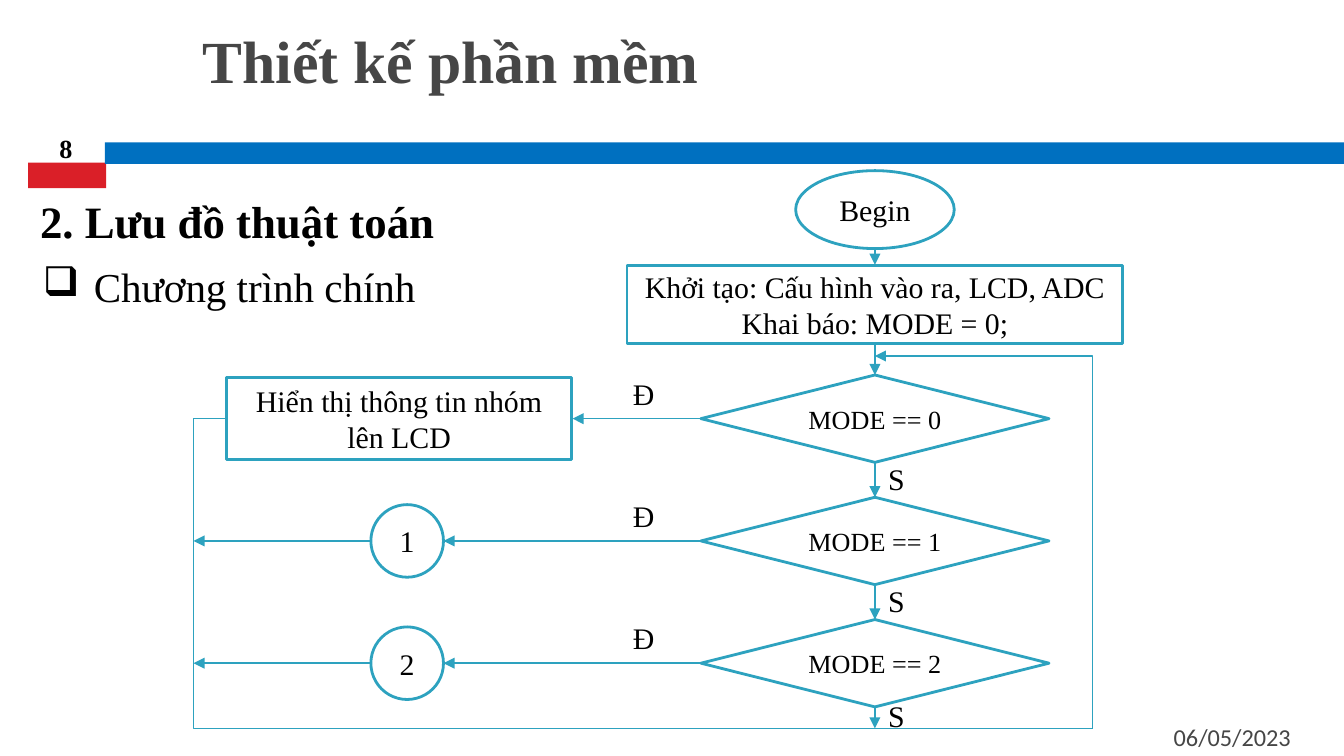
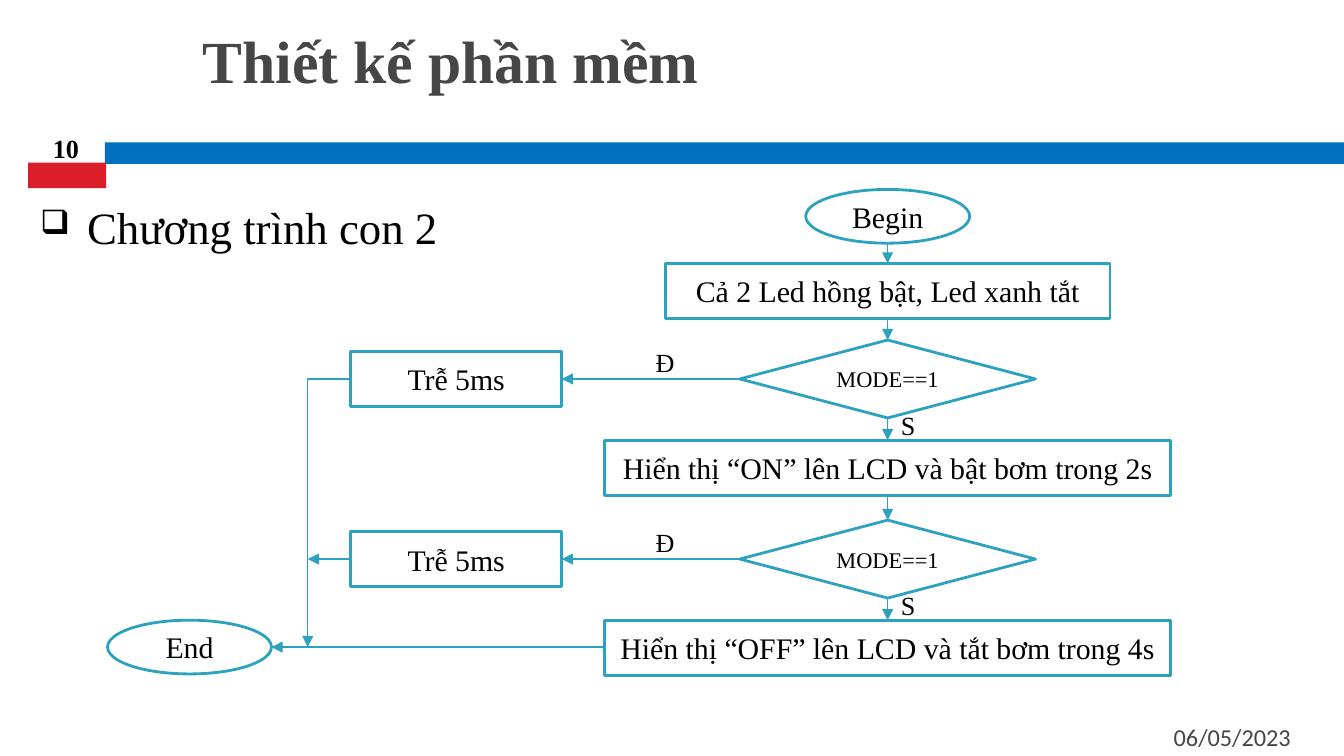
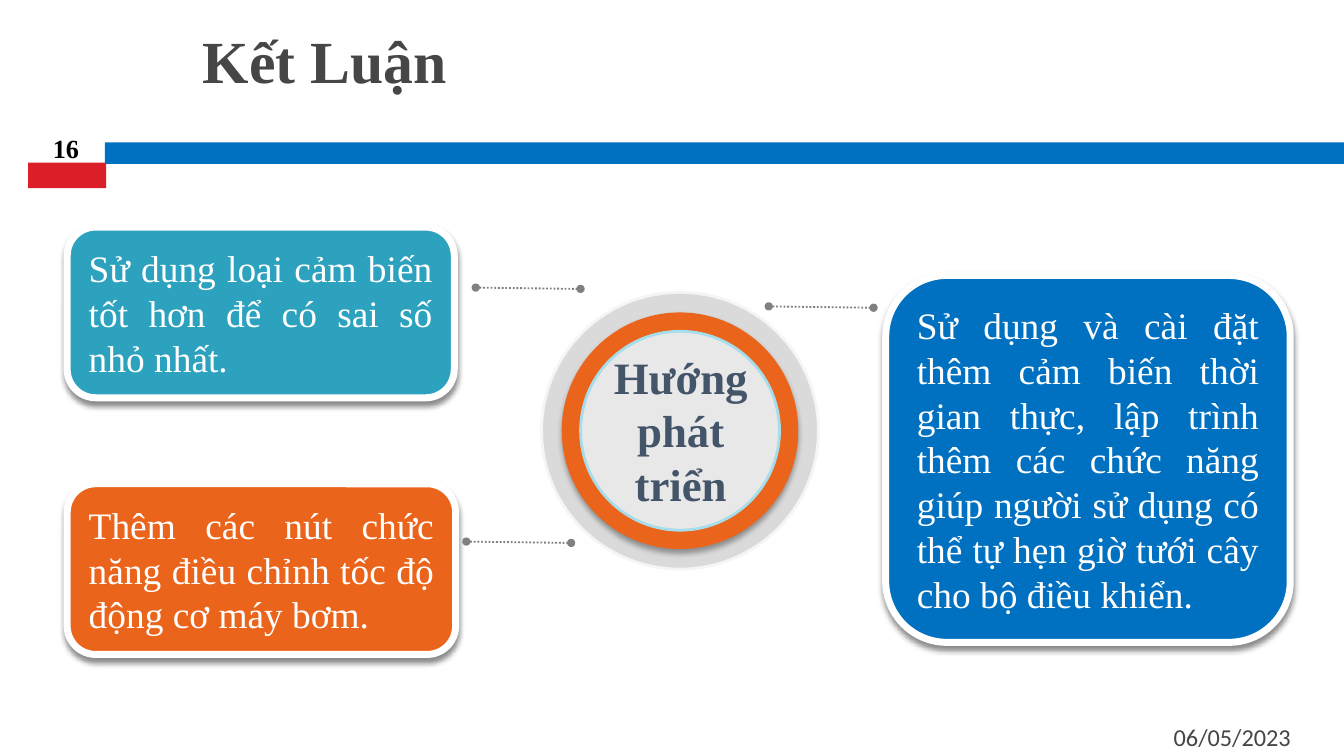
import pptx
import pptx.util
import pptx.dml.color
import pptx.enum.dml
import pptx.enum.shapes
import pptx.enum.text
import pptx.oxml.ns
import lxml.etree

RGBColor = pptx.dml.color.RGBColor
SHAPE = pptx.enum.shapes.MSO_SHAPE
LINE = pptx.enum.shapes.MSO_CONNECTOR
ALIGN = pptx.enum.text.PP_ALIGN
ANCHOR = pptx.enum.text.MSO_ANCHOR

BLACK = RGBColor(0x00, 0x00, 0x00)
WHITE = RGBColor(0xFF, 0xFF, 0xFF)
RED = RGBColor(0xDA, 0x1F, 0x28)
BLUE = RGBColor(0x00, 0x70, 0xC0)
TEAL = RGBColor(0x2D, 0xA2, 0xBF)
PALE_TEAL = RGBColor(0xA6, 0xDD, 0xEA)
ORANGE = RGBColor(0xEB, 0x64, 0x1B)
DARK = RGBColor(0x46, 0x46, 0x46)
SLATE = RGBColor(0x44, 0x54, 0x69)
GREY = RGBColor(0x80, 0x80, 0x80)
RING_GREY = RGBColor(0xDA, 0xDA, 0xDA)
RING_EDGE = RGBColor(0xF5, 0xF5, 0xF5)
CORE_GREY = RGBColor(0xE8, 0xE8, 0xE8)

SERIF = "Times New Roman"
SANS = "Calibri"

# A 16:9 slide on a grid of square cells, 100 columns across
WIDTH = pptx.util.Inches(10)
HEIGHT = WIDTH * 9 // 16
CELL = WIDTH / 100


def grid(*cells):
    return [round(c * CELL) for c in cells]


def sub(parent, tag, **attrs):
    e = lxml.etree.SubElement(parent, pptx.oxml.ns.qn(tag))
    for name, value in attrs.items():
        e.set(name, str(value))
    return e


# Text
def write(sp, text, size, color=BLACK, bold=False, align=ALIGN.LEFT,
          anchor=ANCHOR.TOP, font=SERIF, wrap=True):
    tf = sp.text_frame
    tf.text = text
    tf.word_wrap = wrap
    tf.vertical_anchor = anchor
    for p in tf.paragraphs:
        p.alignment = align
        for r in p.runs:
            r.font.name = font
            r.font.size = pptx.util.Pt(size)
            r.font.bold = bold
            r.font.color.rgb = color


def text_box(s, box, text, size, **style):
    sp = s.shapes.add_textbox(*grid(*box))
    write(sp, text, size, **style)
    return sp


def bullet_box(s, box, text, size, indent, percent=100, spacing=None, **style):
    sp = text_box(s, box, text, size, **style)
    p = sp.text_frame.paragraphs[0]
    pPr = p._p.get_or_add_pPr()
    width = grid(indent)[0]
    pPr.set("marL", str(width))
    pPr.set("indent", str(-width))
    sub(pPr, "a:buSzPct", val=percent * 1000)
    sub(pPr, "a:buChar", char="❑")
    if spacing:
        p.line_spacing = spacing


# Shapes
def shape(s, kind, box, fill, line=None, weight=1.5):
    sp = s.shapes.add_shape(kind, *grid(*box))
    sp.shadow.inherit = False
    sp.fill.solid()
    sp.fill.fore_color.rgb = fill
    if line is None:
        sp.line.fill.background()
    else:
        sp.line.color.rgb = line
        sp.line.width = pptx.util.Pt(weight)
    return sp


def centred(s, kind, cx, cy, w, h, fill, line=None):
    return shape(s, kind, (cx - w / 2, cy - h / 2, w, h), fill, line)


def drop_shadow(sp, alpha, dist):
    effects = sp._element.spPr.find(pptx.oxml.ns.qn("a:effectLst"))
    shadow = sub(effects, "a:outerShdw", blurRad=pptx.util.Pt(3),
                 dist=pptx.util.Pt(dist), dir=90 * 60000, rotWithShape=0)
    color = sub(shadow, "a:srgbClr", val=BLACK)
    sub(color, "a:alpha", val=alpha * 1000)


def connect(s, start, end, kind=LINE.STRAIGHT, color=TEAL, weight=0.79, arrow=True):
    c = s.shapes.add_connector(kind, *grid(*start, *end))
    c.line.color.rgb = color
    c.line.width = pptx.util.Pt(weight)
    if arrow:
        sub(c.line._get_or_add_ln(), "a:tailEnd", type="triangle")
    sub(c._element.spPr, "a:effectLst")
    return c


def elbow(s, start, end, bend=None, arrow=True):
    """Go sideways, then up or down; with a bend, go sideways again."""
    c = connect(s, start, end, LINE.ELBOW, arrow=arrow)
    geom = c._element.spPr.find(pptx.oxml.ns.qn("a:prstGeom"))
    if bend is None:
        geom.set("prst", "bentConnector2")
    else:
        guides = geom.find(pptx.oxml.ns.qn("a:avLst"))
        if guides is None:
            guides = sub(geom, "a:avLst")
        sub(guides, "a:gd", name="adj1", fmla=f"val {round(bend * 100000)}")


# Flowchart parts
def node(s, kind, cx, cy, w, h, text, size=16):
    sp = centred(s, kind, cx, cy, w, h, WHITE, TEAL)
    write(sp, text, size, align=ALIGN.CENTER, anchor=ANCHOR.MIDDLE)


def label(s, x, y, text, size=16):
    text_box(s, (x, y, 3.5, 3.6), text, size, wrap=False)


# Parts shared by all slides
def new_slide(prs, title, number):
    s = prs.slides.add_slide(prs.slide_layouts[6])
    shape(s, SHAPE.RECTANGLE, (2.1, 12.1, 5.8, 1.9), RED)
    shape(s, SHAPE.RECTANGLE, (7.8, 10.6, 92.2, 1.6), BLUE)
    text_box(s, (14.1, 1.3, 84.4, 8.9), title, 32, color=DARK, bold=True)
    text_box(s, (67.8, 53.3, 29.2, 3), "06/05/2023", 13, color=DARK,
             align=ALIGN.RIGHT, anchor=ANCHOR.MIDDLE, font=SANS)
    text_box(s, (2, 9.2, 5.8, 3.5), str(number), 14, bold=True,
             align=ALIGN.CENTER, anchor=ANCHOR.BOTTOM)
    return s


def main_program(prs):
    s = new_slide(prs, "Thiết kế phần mềm", 8)
    text_box(s, (2, 13.9, 86.7, 5), "2. Lưu đồ thuật toán", 24, bold=True)
    bullet_box(s, (2.2, 19, 30, 8.4), "Chương trình chính", 22, 3.8, wrap=False)

    spine, return_x, loop_x, bottom = 65.1, 14.4, 81.3, 54.2
    test_w, test_h, first, pitch = 25.9, 6.5, 31.15, 9.1

    # Start and setup
    node(s, SHAPE.OVAL, spine, 15.6, 11.8, 5.8, "Begin")
    node(s, SHAPE.RECTANGLE, spine, 22.65, 36.9, 5.8,
         "Khởi tạo: Cấu hình vào ra, LCD, ADC\nKhai báo: MODE = 0;")
    connect(s, (spine, 18.5), (spine, 19.7))
    connect(s, (spine, 25.5), (spine, first - test_h / 2))

    # Tests, each with its branch to the left
    for i in range(3):
        y = first + i * pitch
        foot = y + test_h / 2
        node(s, SHAPE.DIAMOND, spine, y, test_w, test_h, f"MODE == {i}", 14)
        label(s, 46.1, y - 3.7, "Đ")
        if i == 0:
            node(s, SHAPE.RECTANGLE, 29.7, y, 25.7, 6.1, "Hiển thị thông tin nhóm lên LCD")
            branch_end = 42.6
        else:
            node(s, SHAPE.OVAL, 30.3, y, 5.4, 5.4, str(i))
            connect(s, (27.6, y), (return_x, y))
            branch_end = 33
        connect(s, (spine - test_w / 2, y), (branch_end, y))
        connect(s, (spine, foot), (spine, min(foot + pitch - test_h, bottom)))
        label(s, spine, min(foot - 0.65, 51.4), "S")

    # Loop back to the first test
    left = 16.9
    elbow(s, (left, first), (loop_x, bottom), arrow=False,
          bend=(return_x - left) / (loop_x - left))
    elbow(s, (loop_x, bottom), (spine, 26.5), bend=0)


def second_routine(prs):
    s = new_slide(prs, "Thiết kế phần mềm", 10)
    bullet_box(s, (2, 14, 33.9, 6), "Chương trình con 2", 24, 3.5, percent=75,
               spacing=1.1, align=ALIGN.JUSTIFY)

    spine, return_x, end_y, box_h = 66.05, 22.9, 48.15, 4.1
    test_w, test_h, first, pitch = 22, 5.8, 28.2, 13.4

    # Start
    node(s, SHAPE.OVAL, spine, 16.1, 12.2, 4, "Begin")
    node(s, SHAPE.RECTANGLE, spine, 21.65, 33.1, box_h, "Cả 2 Led hồng bật, Led xanh tắt")
    connect(s, (spine, 18.1), (spine, 19.6))

    # Two rounds of test, delay and action
    actions = ("Hiển thị “ON” lên LCD và bật bơm trong 2s",
               "Hiển thị “OFF” lên LCD và tắt bơm trong 4s")
    above = 23.7
    for i, action in enumerate(actions):
        y = first + i * pitch
        foot, action_y = y + test_h / 2, y + 6.6
        node(s, SHAPE.DIAMOND, spine, y, test_w, test_h, "MODE==1", 12)
        node(s, SHAPE.RECTANGLE, 33.95, y, 15.7, box_h, "Trễ 5ms")
        node(s, SHAPE.RECTANGLE, spine, action_y, 42.1, box_h, action)
        connect(s, (spine, above), (spine, y - test_h / 2))
        connect(s, (spine, foot), (spine, action_y - box_h / 2))
        connect(s, (spine - test_w / 2, y), (41.8, y))
        label(s, 47.8, y - 2.9, "Đ", 14)
        label(s, spine, foot - 1.1, "S", 14)
        above = action_y + box_h / 2

    # Way to the end
    node(s, SHAPE.OVAL, 14.1, end_y, 12.2, 4, "End")
    connect(s, (45, end_y), (20.2, end_y))
    elbow(s, (26.1, first), (return_x, end_y))
    connect(s, (26.1, first + pitch), (return_x, first + pitch))


def card(s, box, fill, text):
    sp = shape(s, SHAPE.ROUNDED_RECTANGLE, box, fill, WHITE, 3.75)
    drop_shadow(sp, 45, 2.4)
    write(sp, text, 20, color=WHITE, align=ALIGN.JUSTIFY, anchor=ANCHOR.MIDDLE)


def dotted_link(s, x, y):
    ends = (x, y), (x + 7.8, y + 0.1)
    c = connect(s, *ends, color=GREY, weight=1, arrow=False)
    c.line.dash_style = pptx.enum.dml.MSO_LINE.ROUND_DOT
    for cx, cy in ends:
        centred(s, SHAPE.OVAL, cx, cy, 0.4, 0.4, GREY, GREY)


def conclusion(prs):
    s = new_slide(prs, "Kết Luận", 16)

    # Directions
    card(s, (5, 16.9, 28.8, 12.7), TEAL,
         "Sử dụng loại cảm biến tốt hơn để có sai số nhỏ nhất.")
    card(s, (5, 36, 28.9, 12.7), ORANGE,
         "Thêm các nút chức năng điều chỉnh tốc độ động cơ máy bơm.")
    card(s, (65.9, 20.5, 30.1, 27.3), BLUE,
         "Sử dụng và cài đặt thêm cảm biến thời gian thực, lập trình thêm các "
         "chức năng giúp người sử dụng có thể tự hẹn giờ tưới cây cho bộ điều khiển.")

    # Hub of three rings
    cx, cy = 50.6, 32.05
    centred(s, SHAPE.OVAL, cx, cy, 20.6, 20.6, RING_GREY, RING_EDGE)
    drop_shadow(centred(s, SHAPE.OVAL, cx, cy, 17.6, 17.6, ORANGE), 35, 2)
    centred(s, SHAPE.OVAL, cx, cy, 14.8, 14.8, CORE_GREY, PALE_TEAL)
    text_box(s, (44.1, 25.5, 13.1, 13.1), "Hướng phát triển", 24, color=SLATE,
             bold=True, align=ALIGN.CENTER)

    for x, y in ((35.4, 21.4), (34.7, 40.3), (57.2, 22.8)):
        dotted_link(s, x, y)


def main():
    prs = pptx.Presentation()
    prs.slide_width, prs.slide_height = WIDTH, HEIGHT
    main_program(prs)
    second_routine(prs)
    conclusion(prs)
    prs.save("out.pptx")


if __name__ == "__main__":
    main()
